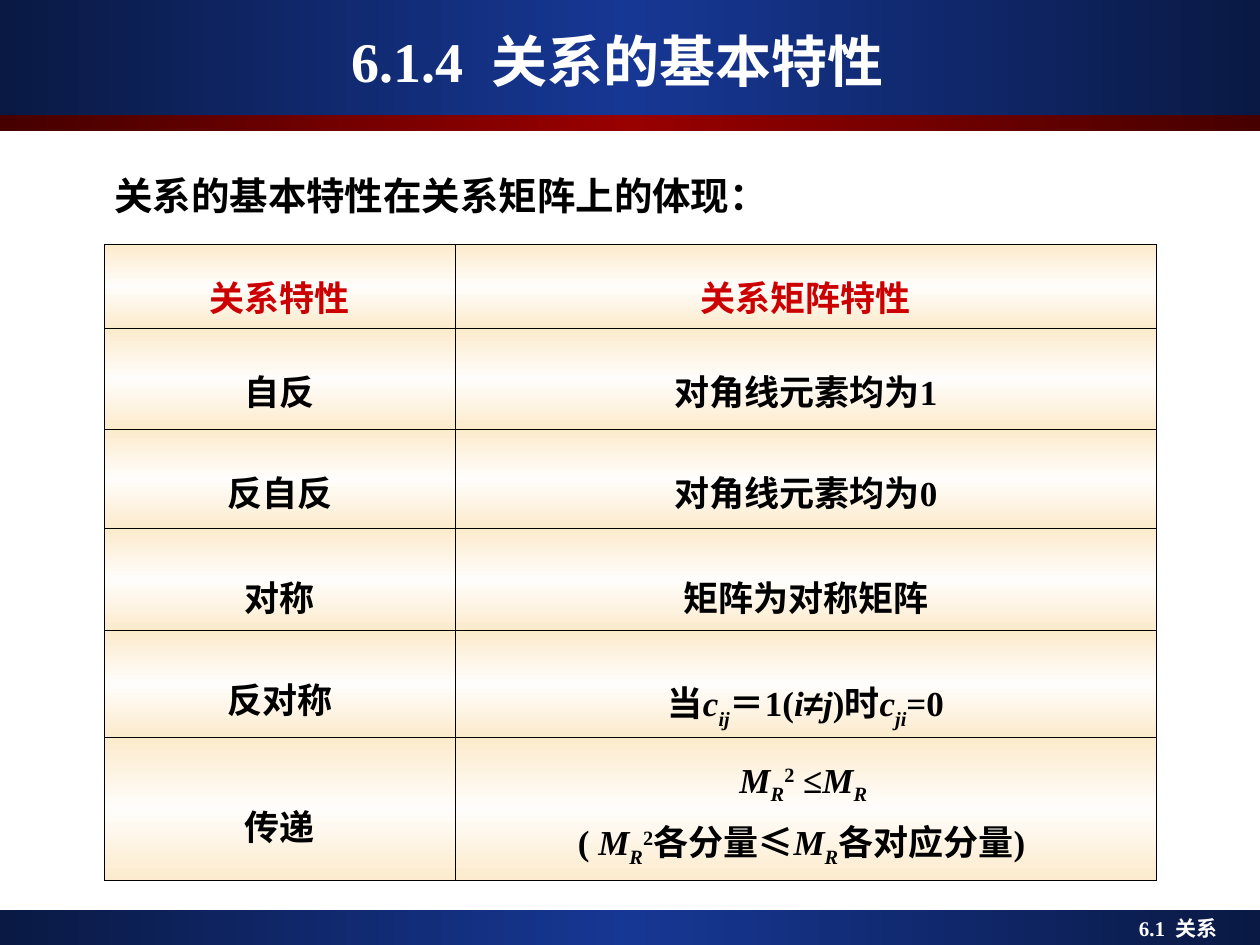
"""Build a slide with a table of how relation properties show in the relation matrix."""
from copy import deepcopy
from dataclasses import dataclass

from pptx import Presentation
from pptx.dml.color import RGBColor as RGB
from pptx.enum.shapes import MSO_SHAPE as SHAPE
from pptx.enum.text import MSO_ANCHOR as ANCHOR, PP_ALIGN as ALIGN
from pptx.oxml import parse_xml
from pptx.oxml.ns import nsdecls, qn
from pptx.util import Emu, Inches, Pt

COLS, ROWS = 100, 75
UNIT = Inches(0.1)
SERIF, SANS = "Times New Roman", "Arial"
COLORS = {
    "navy": "0A1944", "blue": "163794", "maroon": "460000", "red": "990000",
    "cream": "FCEBCC", "ivory": "FFFDFB", "header": "CC0000",
    "black": "000000", "white": "FFFFFF",
}


@dataclass(frozen=True)
class Box:
    x: float
    y: float
    w: float
    h: float

    def emu(self) -> list[Emu]:
        return [Emu(round(n * UNIT)) for n in (self.x, self.y, self.w, self.h)]


@dataclass(frozen=True)
class Band:
    box: Box
    edge: str
    middle: str


@dataclass(frozen=True)
class Label:
    box: Box
    text: str
    size: int
    font: str
    color: str
    align: ALIGN = ALIGN.LEFT
    anchor: ANCHOR = ANCHOR.MIDDLE


@dataclass(frozen=True)
class Run:
    text: str
    italic: bool = False
    base: int = 0
    font: str = SERIF


@dataclass(frozen=True)
class Row:
    height: float
    spacing: tuple[float, float]
    name: str
    lines: list[list[Run]]
    color: str = "black"


def var(text: str, base: int = 0) -> Run:
    return Run(text, True, base)


M, R, SQUARE = var("M"), var("R", -25), Run("2", base=30)

BANDS = [
    Band(Box(0, 72.2, COLS, 2.8), "navy", "blue"),
    Band(Box(0, 0, COLS, 9.1), "navy", "blue"),
    Band(Box(0, 9.1, COLS, 1.3), "maroon", "red"),
]
LABELS = [
    Label(Box(89.4, 72.2, 10.6, 3), "6.1  关系", 12, SERIF, "white", anchor=ANCHOR.TOP),
    Label(Box(8.1, 13.1, 55.4, 4.7), "关系的基本特性在关系矩阵上的体现：", 22, SANS, "black"),
    Label(Box(3.3, 1.7, 92.5, 6.2), "6.1.4  关系的基本特性 ", 32, SERIF, "white", ALIGN.CENTER),
]
TABLE = Box(8.3, 19.4, 83.5, 49.6)
TABLE_ROWS = [
    Row(6.4, (1.4, 1.4), "关系特性", [[Run("关系矩阵特性")]], "header"),
    Row(8, (1.6, 1.6), "自反", [[Run("对角线元素均为1")]]),
    Row(7.9, (1.6, 1.6), "反自反", [[Run("对角线元素均为0")]]),
    Row(8.1, (1.7, 1.7), "对称", [[Run("矩阵为对称矩阵")]]),
    Row(7.9, (1.7, 1.7), "反对称", [[
        Run("当"), var("c"), var("ij", -30), Run("＝1("), var("i"), Run("≠", font=SANS),
        var("j"), Run(")时"), var("c"), var("ji", -30), Run("=0"),
    ]]),
    Row(11.3, (2.1, 1.4), "传递", [
        [M, R, SQUARE, Run(" ≤"), M, var("R ", -25)],
        [Run("( "), M, R, SQUARE, Run("各分量≤"), M, R, Run("各对应分量) ")],
    ]),
]


def set_gradient(fill, element, edge: str, middle: str, angle: int) -> None:
    fill.gradient()
    fill.gradient_angle = angle
    stops = next(element.iter(qn("a:gsLst")))
    stops.append(deepcopy(stops[0]))
    for stop, place, color in zip(fill.gradient_stops, (0, 0.5, 1), (edge, middle, edge)):
        stop.position = place
        stop.color.rgb = RGB.from_string(COLORS[color])


def set_font(p, size: int, name: str, color: str) -> None:
    p.font.size, p.font.name, p.font.bold = Pt(size), name, True
    p.font.color.rgb = RGB.from_string(COLORS[color])


def add_band(s, band: Band) -> None:
    sp = s.shapes.add_shape(SHAPE.RECTANGLE, *band.box.emu())
    sp.shadow.inherit = False
    sp.line.fill.background()
    set_gradient(sp.fill, sp._element, band.edge, band.middle, 0)


def add_label(s, label: Label) -> None:
    tf = s.shapes.add_textbox(*label.box.emu()).text_frame
    tf.word_wrap, tf.vertical_anchor = True, label.anchor
    p = tf.paragraphs[0]
    p.text, p.alignment = label.text, label.align
    set_font(p, label.size, label.font, label.color)


def add_borders(cell) -> None:
    tc_pr = cell._tc.get_or_add_tcPr()
    for i, side in enumerate("LRTB"):
        tc_pr.insert(i, parse_xml(
            f'<a:ln{side} {nsdecls("a")} w="{Pt(0.45)}"><a:solidFill>'
            f'<a:srgbClr val="{COLORS["black"]}"/></a:solidFill></a:ln{side}>'))


def fill_cell(cell, lines: list[list[Run]], spacing: float, color: str) -> None:
    set_gradient(cell.fill, cell._tc, "cream", "ivory", 90)
    add_borders(cell)
    tf = cell.text_frame
    for i, line in enumerate(lines):
        p = tf.add_paragraph() if i else tf.paragraphs[0]
        p.alignment = ALIGN.CENTER
        p.line_spacing = 1.0 if i else spacing
        if i:
            p.space_before = Pt(5)
        set_font(p, 20, SERIF, color)
        for run in line:
            r = p.add_run()
            r.text = run.text
            if run.italic:
                r.font.italic = True
            if run.font != SERIF:
                r.font.name = run.font
            if run.base:
                r._r.get_or_add_rPr().set("baseline", str(run.base * 1000))


def add_matrix_table(s, box: Box, rows: list[Row]) -> None:
    table = s.shapes.add_table(len(rows), 2, *box.emu()).table
    table.first_row = table.horz_banding = False
    for column, share in zip(table.columns, (1, 2)):
        column.width = Emu(round(box.w * UNIT * share / 3))
    for i, row in enumerate(rows):
        table.rows[i].height = Emu(round(row.height * UNIT))
        for j, lines in enumerate(([[Run(row.name)]], row.lines)):
            fill_cell(table.cell(i, j), lines, row.spacing[j], row.color)


def main() -> None:
    prs = Presentation()
    prs.slide_width, prs.slide_height = COLS * UNIT, ROWS * UNIT
    s = prs.slides.add_slide(prs.slide_layouts[6])
    for band in BANDS:
        add_band(s, band)
    add_matrix_table(s, TABLE, TABLE_ROWS)
    for label in LABELS:
        add_label(s, label)
    prs.save("out.pptx")


if __name__ == "__main__":
    main()
